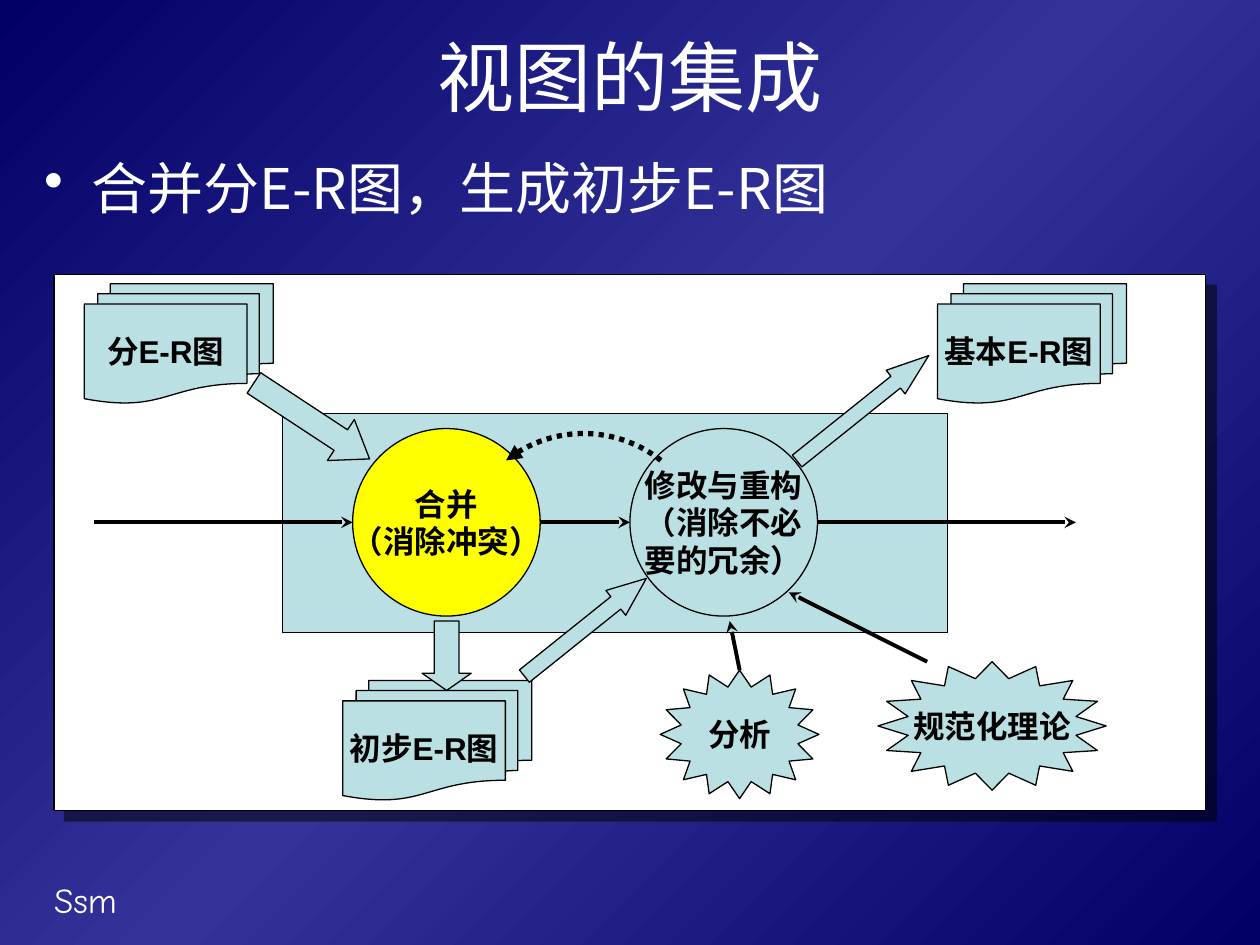
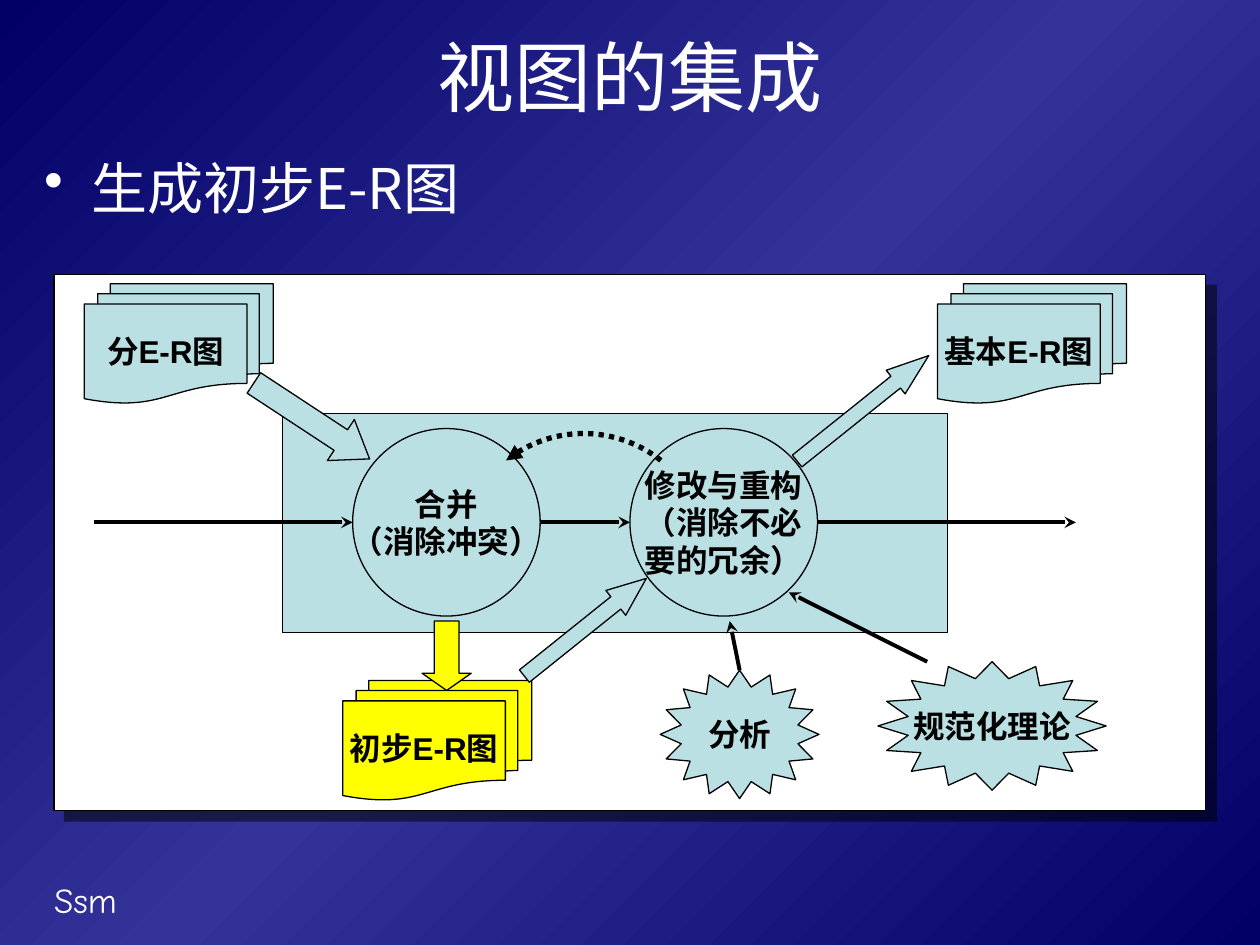
"""Build two slides on view integration in E-R design."""
import copy

import pptx
import pptx.dml.color
import pptx.enum.dml
import pptx.enum.shapes
import pptx.enum.text
import pptx.oxml
import pptx.oxml.ns
import pptx.util
from lxml import etree

Cm = pptx.util.Cm
Pt = pptx.util.Pt
RGBColor = pptx.dml.color.RGBColor
SHAPE = pptx.enum.shapes.MSO_SHAPE
ALIGN = pptx.enum.text.PP_ALIGN
ANCHOR = pptx.enum.text.MSO_ANCHOR
qn = pptx.oxml.ns.qn

NAVY = RGBColor(0x00, 0x00, 0x66)
INDIGO = RGBColor(0x33, 0x33, 0x99)
WHITE = RGBColor(0xFF, 0xFF, 0xFF)
BLACK = RGBColor(0x00, 0x00, 0x00)
PALE_TEAL = RGBColor(0xBB, 0xE0, 0xE3)
YELLOW = RGBColor(0xFF, 0xFF, 0x00)

CJK_FONT = "Noto Sans CJK SC"
LABEL_FONT = "Arial"
FOOTER_FONT = "Comic Neue"

CIRCLE = 3.78
CIRCLE_TOP = 8.64
MERGE_LEFT = 7.11
REBUILD_LEFT = 12.7
FLOW_Y = CIRCLE_TOP + CIRCLE / 2

SLIDES = [
    ("合并分E-R图，生成初步E-R图", {"merge"}),
    ("生成初步E-R图", {"draft", "draft arrow"}),
]
CIRCLES = [
    ("merge", MERGE_LEFT, "合并\n（消除冲突）"),
    ("rebuild", REBUILD_LEFT, "修改与重构\n（消除不必\n要的冗余）"),
]
DOCUMENTS = [
    ("partial", 1.7, 5.72, "分E-R图"),
    ("draft", 6.91, 13.72, "初步E-R图"),
    ("basic", 18.9, 5.72, "基本E-R图"),
]
BLOCK_ARROWS = [
    ("partial arrow", (5.79, 7.09, 0.99, 2.79), 303.3, 0.7),
    ("draft arrow", (8.51, 12.52, 0.99, 1.4), 0, 0.35),
    ("rebuild arrow", (11.48, 11.07, 0.64, 3.15), 231.3, 1.23),
    ("basic arrow", (17.09, 6.53, 0.61, 3.4), 231.3, 1.4),
]
STARS = [
    ((13.31, 13.51, 3.2, 2.59), "分析"),
    ((17.7, 13.34, 4.6, 2.59), "规范化理论"),
]
LINE_ARROWS = [
    (14.91, 13.51, 14.71, 12.52),
    (18.69, 13.34, 15.9, 11.94),
    (1.9, FLOW_Y, MERGE_LEFT, FLOW_Y),
    (REBUILD_LEFT + CIRCLE, FLOW_Y, 21.69, FLOW_Y),
    (MERGE_LEFT + CIRCLE, FLOW_Y, REBUILD_LEFT, FLOW_Y),
]


def lengths(values):
    """Turn centimetre numbers into lengths."""
    return [Cm(value) for value in values]


def set_text(frame, text, font, size, color, bold=False, align=ALIGN.LEFT):
    """Fill a text frame and format every run."""
    frame.text = text
    for para in frame.paragraphs:
        para.alignment = align
        for span in para.runs:
            span.font.size = Pt(size)
            span.font.bold = bold
            span.font.color.rgb = color
            span.font.name = font
            east_asian = etree.SubElement(span.font._element, qn("a:ea"))
            east_asian.set("typeface", CJK_FONT)


def paint_background(master):
    """Give the master a diagonal navy and indigo gradient."""
    fill = master.background.fill
    fill.gradient()
    fill.gradient_angle = 315
    first, middle = fill.gradient_stops
    first.color.rgb, first.position = NAVY, 0
    middle.color.rgb, middle.position = INDIGO, 0.5
    stops = next(master.element.iter(qn("a:gsLst")))
    last = copy.deepcopy(stops[0])
    last.set("pos", "100000")
    stops.append(last)


def add_title(page, text):
    """Place and format the slide title."""
    title = page.shapes.title
    title.left, title.top, title.width, title.height = lengths((1.27, 0.43, 22.86, 2.21))
    title.text_frame.vertical_anchor = ANCHOR.MIDDLE
    title.text_frame.auto_size = pptx.enum.text.MSO_AUTO_SIZE.NONE
    set_text(title.text_frame, text, CJK_FONT, 44, WHITE, align=ALIGN.CENTER)


def add_bullet(page, text):
    """Add the bulleted statement under the title."""
    box = page.shapes.add_textbox(*lengths((0.64, 2.97, 24.33, 14.61)))
    box.text_frame.word_wrap = True
    set_text(box.text_frame, text, CJK_FONT, 32, WHITE)
    properties = box.text_frame.paragraphs[0]._p.get_or_add_pPr()
    properties.set("marL", str(Cm(0.95)))
    properties.set("indent", str(Cm(-0.95)))
    etree.SubElement(properties, qn("a:buChar")).set("char", "•")


def add_footer(page):
    """Add the footer mark."""
    box = page.shapes.add_textbox(*lengths((0.84, 17.58, 5.28, 1.12)))
    box.text_frame.word_wrap = True
    set_text(box.text_frame, "Ssm", FOOTER_FONT, 20, WHITE)


def add_figure(page, kind, place, fill, label=""):
    """Add a thinly outlined shape with an optional bold label."""
    shape = page.shapes.add_shape(kind, *lengths(place))
    shape.shadow.inherit = False
    shape.fill.solid()
    shape.fill.fore_color.rgb = fill
    shape.line.color.rgb = BLACK
    shape.line.width = Pt(0.75)
    if label:
        shape.text_frame.word_wrap = False
        shape.text_frame.vertical_anchor = ANCHOR.MIDDLE
        set_text(shape.text_frame, label, LABEL_FONT, 18, BLACK, True, ALIGN.CENTER)
    return shape


def add_panel(page):
    """Add the white panel with its offset shadow."""
    panel = add_figure(page, SHAPE.RECTANGLE, (1.09, 5.54, 23.22, 10.8), WHITE)
    effects = panel._element.spPr.find(qn("a:effectLst"))
    shadow = etree.SubElement(effects, qn("a:outerShdw"))
    shadow.set("dist", str(Pt(8.5)))
    shadow.set("dir", "2700000")
    shadow.set("algn", "ctr")
    shadow.set("rotWithShape", "0")
    color = etree.SubElement(shadow, qn("a:srgbClr"))
    color.set("val", str(BLACK))
    etree.SubElement(color, qn("a:alpha")).set("val", "50000")


def style_arrow(shape, width, end, head):
    """Give a line its black stroke and one arrowhead."""
    shape.line.color.rgb = BLACK
    shape.line.width = Pt(width)
    etree.SubElement(shape.line._get_or_add_ln(), qn(end)).set("type", head)


def add_line_arrow(page, ends):
    """Add a straight arrow between two points."""
    straight = pptx.enum.shapes.MSO_CONNECTOR.STRAIGHT
    arrow = page.shapes.add_connector(straight, *lengths(ends))
    style_arrow(arrow, 2.25, "a:tailEnd", "stealth")
    etree.SubElement(arrow._element.spPr, qn("a:effectLst"))


def add_feedback_arc(page):
    """Add the dotted arc leading back to the merge step."""
    arc = page.shapes.add_shape(SHAPE.ARC, *lengths((9.25, 8.74, 5.03, 5.03)))
    arc.shadow.inherit = False
    arc.fill.background()
    for index, degrees in enumerate((231.6, 308.4)):
        arc.adjustments[index] = degrees * 60000 / 100000
    arc.line.dash_style = pptx.enum.dml.MSO_LINE.ROUND_DOT
    style_arrow(arc, 3, "a:headEnd", "triangle")


def add_diagram(page, highlighted):
    """Draw the integration flow with the named parts in yellow."""
    def tint(name):
        """Choose the fill of a part."""
        return YELLOW if name in highlighted else PALE_TEAL

    add_panel(page)
    add_figure(page, SHAPE.RECTANGLE, (5.69, 8.33, 13.41, 4.42), PALE_TEAL)
    for name, left, label in CIRCLES:
        place = (left, CIRCLE_TOP, CIRCLE, CIRCLE)
        add_figure(page, SHAPE.OVAL, place, tint(name), label)
    for name, left, top, label in DOCUMENTS:
        place = (left, top, 3.81, 2.41)
        add_figure(page, SHAPE.FLOWCHART_MULTIDOCUMENT, place, tint(name), label)
    for name, place, rotation, head in BLOCK_ARROWS:
        arrow = add_figure(page, SHAPE.DOWN_ARROW, place, tint(name))
        arrow.rotation = rotation
        arrow.adjustments[1] = head
    for place, label in STARS:
        add_figure(page, SHAPE.STAR_16_POINT, place, PALE_TEAL, label)
    for ends in LINE_ARROWS:
        add_line_arrow(page, ends)
    add_feedback_arc(page)


def main():
    """Build and save the deck."""
    deck = pptx.Presentation()
    deck.slide_width, deck.slide_height = Cm(25.4), Cm(19.05)
    paint_background(deck.slide_master)
    title_only = deck.slide_layouts.get_by_name("Title Only")
    for statement, highlighted in SLIDES:
        page = deck.slides.add_slide(title_only)
        add_footer(page)
        add_title(page, "视图的集成")
        add_bullet(page, statement)
        add_diagram(page, highlighted)
    deck.save("out.pptx")


if __name__ == "__main__":
    main()
